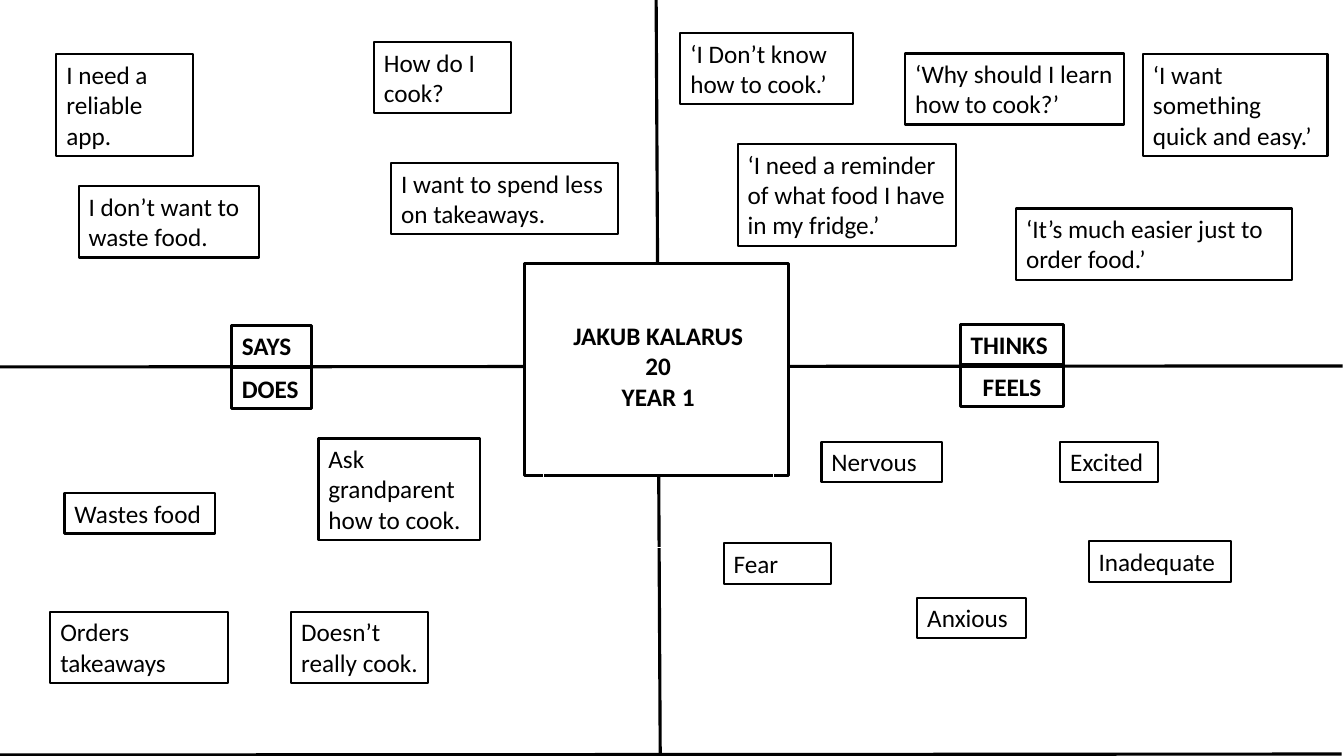
from dataclasses import dataclass
from lxml import etree
from pptx import Presentation
from pptx.dml.color import RGBColor
from pptx.enum.shapes import MSO_CONNECTOR as Connector, MSO_SHAPE as Preset
from pptx.enum.text import MSO_ANCHOR as Anchor, MSO_AUTO_SIZE as AutoSize, PP_ALIGN as Align
from pptx.oxml.ns import qn
from pptx.util import Pt


@dataclass(frozen=True)
class Theme:
    ink: RGBColor = RGBColor(0, 0, 0)
    paper: RGBColor = RGBColor(255, 255, 255)
    font: str = "Calibri"
    text_size: float = 18
    heavy_line: float = 2.25
    note_line: float = 1.5
    thin_line: float = 0.75
    line_height: float = 21.8
    padding: float = 7.2


@dataclass(frozen=True)
class Box:
    left: float
    top: float
    width: float
    height: float

    def inside(self, left, top, width, height):
        return Box(self.left + left, self.top + top, width, height)

    def lengths(self):
        return [Pt(value) for value in (self.left, self.top, self.width, self.height)]


THEME = Theme()


def text_height(lines):
    return THEME.padding + THEME.line_height * lines


def set_values(target, values):
    for name, value in values.items():
        setattr(target, name, value)


def set_outline(shape, color, width):
    shape.line.color.rgb = color
    shape.line.width = Pt(width)


def write_text(shape, text, align=Align.LEFT, bold=False, anchor=Anchor.TOP):
    frame = shape.text_frame
    frame.text = text
    set_values(frame, {
        "word_wrap": True,
        "auto_size": AutoSize.SHAPE_TO_FIT_TEXT,
        "vertical_anchor": anchor,
    })
    for paragraph in frame.paragraphs:
        paragraph.alignment = align
        for run in paragraph.runs:
            set_values(run.font, {"name": THEME.font, "size": Pt(THEME.text_size), "bold": bold})
            run.font.color.rgb = THEME.ink


def add_label(slide, box, text, line_width, align=Align.LEFT, bold=False):
    shape = slide.shapes.add_textbox(*box.lengths())
    set_outline(shape, THEME.ink, line_width)
    write_text(shape, text, align, bold)


def add_divider(slide, box):
    line = slide.shapes.add_connector(
        Connector.STRAIGHT, Pt(box.left), Pt(box.top),
        Pt(box.left + box.width), Pt(box.top + box.height))
    set_outline(line, THEME.ink, THEME.heavy_line)
    etree.SubElement(line.element.spPr, qn("a:effectLst"))


def add_persona(slide, box, lines):
    card = slide.shapes.add_shape(Preset.RECTANGLE, *box.lengths())
    card.shadow.inherit = False
    card.fill.solid()
    card.fill.fore_color.rgb = THEME.paper
    set_outline(card, THEME.ink, THEME.heavy_line)

    title = slide.shapes.title
    title.element.getparent().append(title.element)
    name_box = box.inside(13.7, 37.4, 164.2, text_height(len(lines)))
    set_values(title, dict(zip(("left", "top", "width", "height"), name_box.lengths())))
    set_outline(title, THEME.paper, THEME.thin_line)
    write_text(title, "\n".join(lines), Align.CENTER, True)


def add_quadrant(slide, box, heading, notes):
    text, left, top, width, align = heading
    heading_box = box.inside(left, top, width, text_height(1))
    add_label(slide, heading_box, text, THEME.heavy_line, align, True)
    for text, left, top, width, lines in notes:
        note_box = box.inside(left, top, width, text_height(lines))
        add_label(slide, note_box, text, THEME.note_line)


QUADRANTS = [
    (Box(0, 0, 470, 262), ("SAYS", 165.6, 232.6, 56.9, Align.LEFT), [
        ("I want to spend less on takeaways.", 279.4, 116.6, 162, 2),
        ("I don’t want to waste food.", 56.2, 133.2, 128.9, 2),
        ("How do I cook?", 267.1, 30.2, 97.9, 2),
        ("I need a reliable app.", 40.3, 38.9, 97.9, 3),
    ]),
    (Box(470, 0, 490, 262), ("THINKS", 216.2, 231.8, 73.4, Align.LEFT), [
        ("‘It’s much easier just to order food.’", 255.8, 149, 197.3, 2),
        ("‘I need a reminder of what food I have in my fridge.’", 57, 103, 156.2, 3),
        ("‘I want something quick and easy.’", 346.5, 38.9, 131.8, 3),
        ("‘Why should I learn how to cook?’", 176.6, 38.2, 156.2, 2),
        ("‘I Don’t know how to cook.’", 16, 23.8, 123.1, 2),
    ]),
    (Box(0, 262, 470, 278), ("DOES", 165.6, 0.8, 56.9, Align.LEFT), [
        ("Doesn’t really cook.", 208.1, 175, 97.9, 2),
        ("Ask grandparent how to cook.", 227.5, 51.2, 115.2, 3),
        ("Orders takeaways", 36, 175, 126.7, 2),
        ("Wastes food", 46.1, 90.1, 107.3, 1),
    ]),
    (Box(470, 262, 490, 278), ("FEELS", 216.2, -0.6, 73.4, Align.CENTER), [
        ("Fear", 47, 126.1, 76.3, 1),
        ("Anxious", 185.2, 165, 77.8, 1),
        ("Inadequate", 307.6, 124.6, 101.5, 1),
        ("Excited", 287.4, 53.4, 69.8, 1),
        ("Nervous", 116.8, 53.4, 86.4, 1),
    ]),
]
DIVIDERS = [
    Box(468.7, 0, 2.9, 540),
    Box(0, 262.1, 959, -0.7),
    Box(-0.7, 539.3, 959, -0.7),
]


def add_empathy_map(presentation):
    slide = presentation.slides.add_slide(presentation.slide_layouts[5])
    for divider in DIVIDERS:
        add_divider(slide, divider)
    add_persona(slide, Box(374.4, 187.9, 188.6, 151.9), ["JAKUB KALARUS", "20", "YEAR 1"])
    for box, heading, notes in QUADRANTS:
        add_quadrant(slide, box, heading, notes)


presentation = Presentation()
set_values(presentation, {"slide_width": Pt(960), "slide_height": Pt(540)})
add_empathy_map(presentation)
presentation.save("out.pptx")
